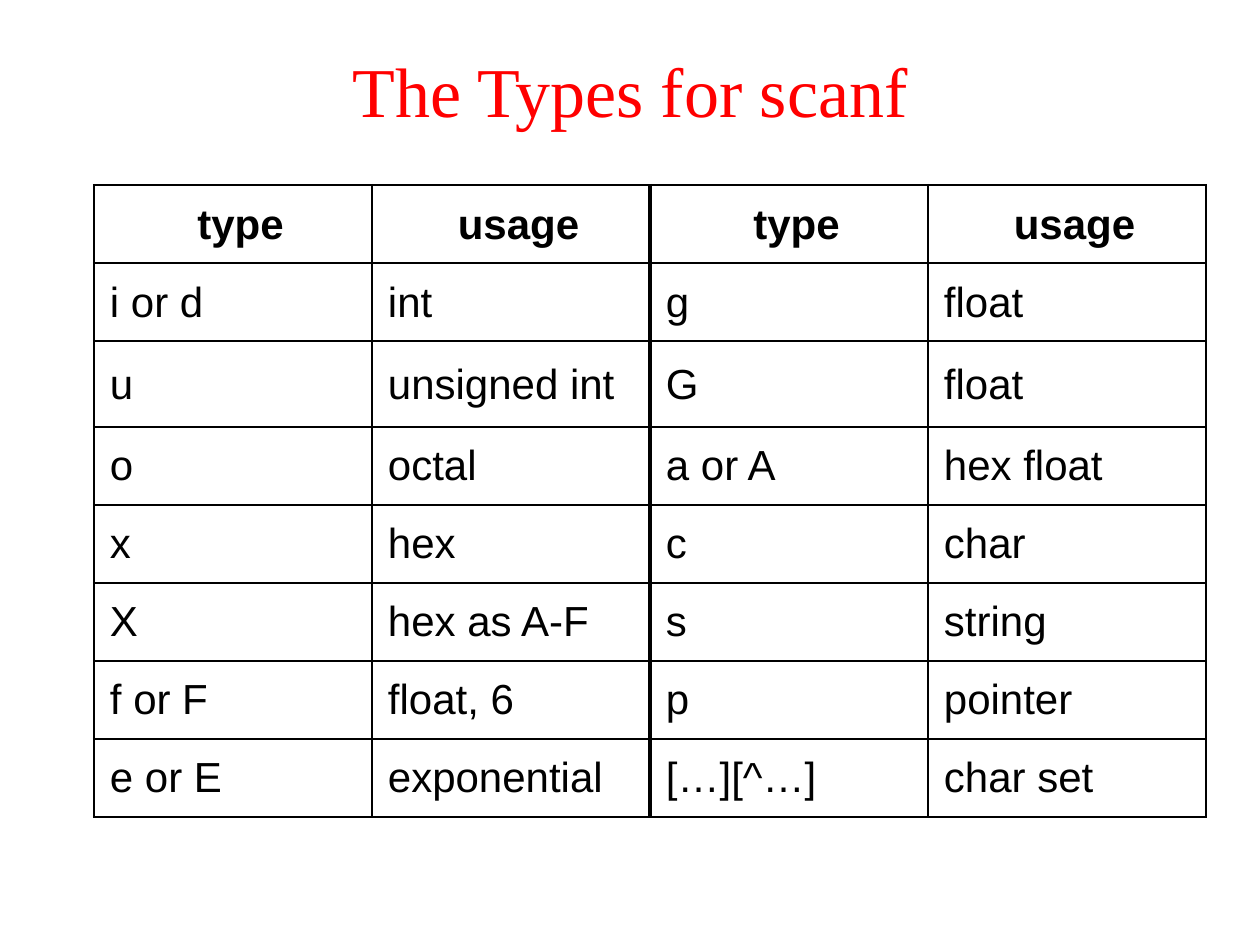
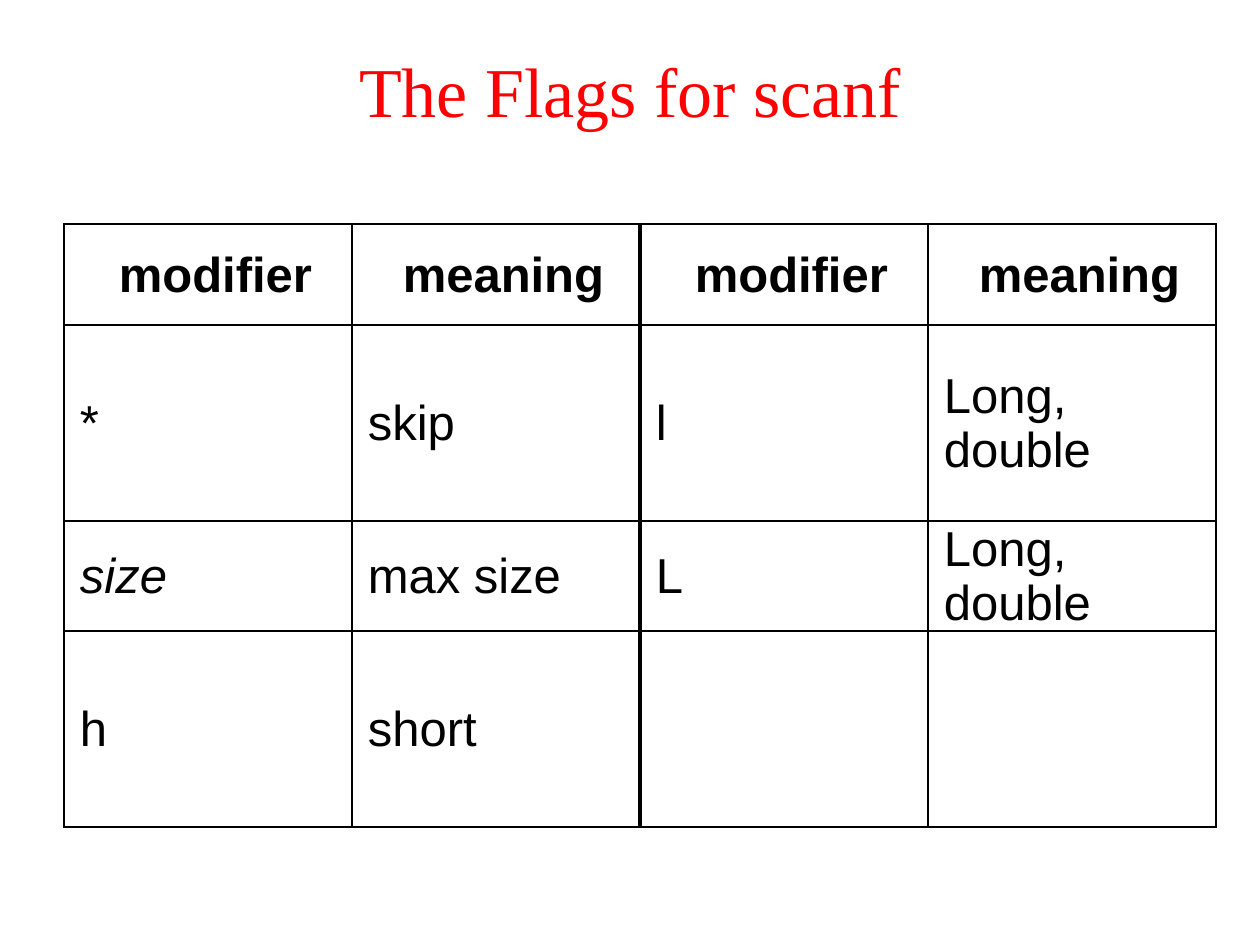
"""Build two slides that tabulate the types and flags of scanf."""
from dataclasses import dataclass

from lxml.etree import SubElement
from pptx import Presentation
from pptx.dml.color import RGBColor
from pptx.enum.text import MSO_ANCHOR, PP_ALIGN
from pptx.oxml.ns import qn
from pptx.presentation import Presentation as Deck
from pptx.slide import Slide
from pptx.table import _Cell as Cell
from pptx.util import Emu, Pt

PIXELS_PER_INCH = 126
PAGE_WIDTH, PAGE_HEIGHT = 1260, 945
TITLE_ONLY_LAYOUT = 5

RED = RGBColor(0xFF, 0x00, 0x00)
BLACK = RGBColor(0x00, 0x00, 0x00)
TITLE_FONT = "Times New Roman"
TABLE_FONT = "Arial"

CELL_INDENT = 15
CELL_MARGIN = 1
THIN_BORDER = Pt(1.5)
THICK_BORDER = Pt(3)


@dataclass(frozen=True)
class TablePage:
    """One slide: a title above a table of paired columns."""

    title: str
    left: int
    top: int
    column_width: int
    row_heights: tuple[int, ...]
    font_size: int
    rows: tuple[tuple[str, ...], ...]
    italic_words: tuple[str, ...] = ()


PAGES = (
    TablePage(
        title="The Types for scanf",
        left=94,
        top=185,
        column_width=278,
        row_heights=(78, 78, 86, 78, 78, 78, 78, 78),
        font_size=24,
        rows=(
            ("type", "usage", "type", "usage"),
            ("i or d", "int", "g", "float"),
            ("u", "unsigned int", "G", "float"),
            ("o", "octal", "a or A", "hex float"),
            ("x", "hex", "c", "char"),
            ("X", "hex as A-F", "s", "string"),
            ("f or F", "float, 6", "p", "pointer"),
            ("e or E", "exponential", "[…][^…]", "char set"),
        ),
    ),
    TablePage(
        title="The Flags for scanf",
        left=64,
        top=224,
        column_width=288,
        row_heights=(101, 196, 101, 196),
        font_size=28,
        rows=(
            ("modifier", "meaning", "modifier", "meaning"),
            ("*", "skip", "l", "Long, double"),
            ("size", "max size", "L", "Long, double"),
            ("h", "short", "", ""),
        ),
        italic_words=("size",),
    ),
)


def px(length: int) -> Emu:
    """Turn pixels into EMU."""
    return Emu(round(length * 914400 / PIXELS_PER_INCH))


def add_title(slide: Slide, text: str) -> None:
    """Fill and place the title placeholder."""
    title = slide.shapes.title
    title.left, title.top = px(0), px(10)
    title.width, title.height = px(PAGE_WIDTH), px(158)
    title.text_frame.text = text
    title.text_frame.vertical_anchor = MSO_ANCHOR.MIDDLE
    para = title.text_frame.paragraphs[0]
    para.alignment = PP_ALIGN.CENTER
    para.font.name = TITLE_FONT
    para.font.size = Pt(40)
    para.font.color.rgb = RED


def draw_borders(cell: Cell, column: int, middle: int) -> None:
    """Outline a cell, with a thick rule between the two column pairs."""
    thick_side = {middle - 1: "R", middle: "L"}.get(column)
    properties = cell._tc.get_or_add_tcPr()
    for side in "LRTB":
        width = THICK_BORDER if side == thick_side else THIN_BORDER
        line = SubElement(properties, qn(f"a:ln{side}"), w=str(width))
        fill = SubElement(line, qn("a:solidFill"))
        SubElement(fill, qn("a:srgbClr"), val=str(BLACK))


def write_cell(cell: Cell, text: str, size: int, header: bool, italic: bool) -> None:
    """Set the text, margins and font of a cell."""
    cell.vertical_anchor = MSO_ANCHOR.MIDDLE
    cell.margin_left = cell.margin_right = cell.margin_top = px(CELL_MARGIN)
    cell.margin_bottom = px(0)
    if not text:
        return
    cell.text = text
    para = cell.text_frame.paragraphs[0]
    para.alignment = PP_ALIGN.CENTER if header else PP_ALIGN.LEFT
    para._p.get_or_add_pPr().set("marL", str(px(CELL_INDENT)))
    para.font.name = TABLE_FONT
    para.font.size = Pt(size)
    para.font.bold = header
    para.font.italic = italic
    para.font.color.rgb = BLACK


def add_grid(slide: Slide, page: TablePage) -> None:
    """Draw the table of a page."""
    column_count = len(page.rows[0])
    table = slide.shapes.add_table(
        len(page.rows),
        column_count,
        px(page.left),
        px(page.top),
        px(page.column_width * column_count),
        px(sum(page.row_heights)),
    ).table
    table.first_row = table.horz_banding = False
    for column in table.columns:
        column.width = px(page.column_width)
    for row_index, (height, texts) in enumerate(zip(page.row_heights, page.rows)):
        table.rows[row_index].height = px(height)
        for column_index, text in enumerate(texts):
            cell = table.cell(row_index, column_index)
            draw_borders(cell, column_index, column_count // 2)
            cell.fill.background()
            write_cell(cell, text, page.font_size, row_index == 0, text in page.italic_words)


def add_page(deck: Deck, page: TablePage) -> None:
    """Add one slide with its title and table."""
    slide = deck.slides.add_slide(deck.slide_layouts[TITLE_ONLY_LAYOUT])
    add_title(slide, page.title)
    add_grid(slide, page)


def main() -> None:
    """Build and save the deck."""
    deck = Presentation()
    deck.slide_width, deck.slide_height = px(PAGE_WIDTH), px(PAGE_HEIGHT)
    for page in PAGES:
        add_page(deck, page)
    deck.save("out.pptx")


if __name__ == "__main__":
    main()
